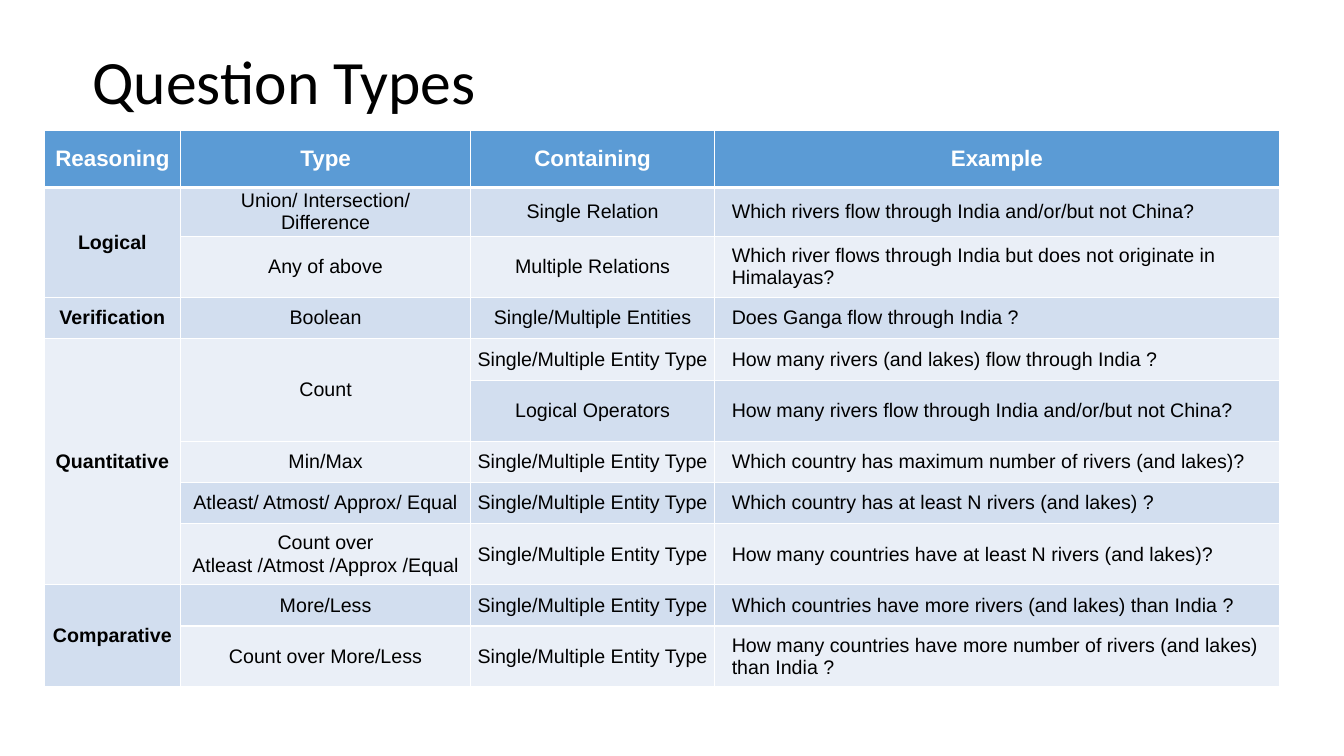
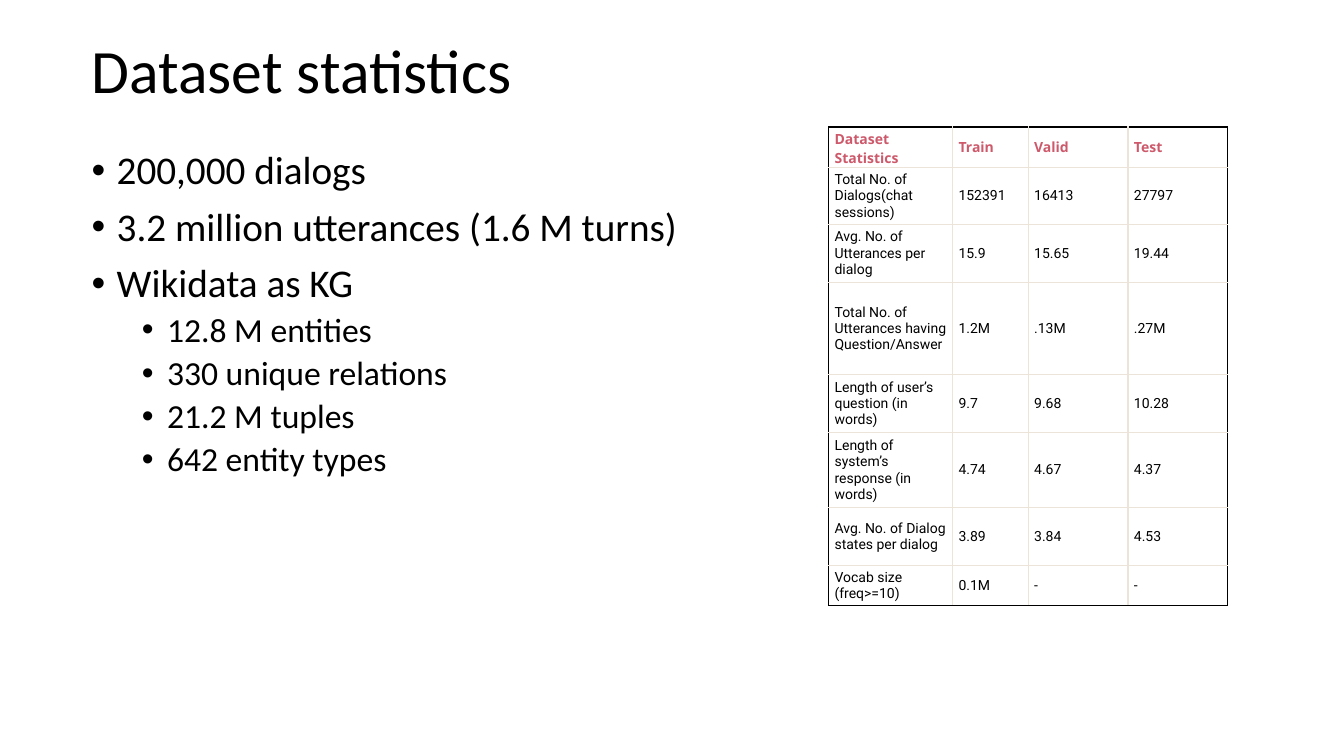
from dataclasses import dataclass

from lxml.etree import SubElement
from pptx import Presentation
from pptx.dml.color import RGBColor
from pptx.enum.text import MSO_ANCHOR, PP_ALIGN
from pptx.oxml.ns import qn
from pptx.util import Inches, Pt

# Grid: 133.33 columns by 75 rows of 0.1 inch
COLUMNS, ROWS = 133.33, 75
BLACK, WHITE = "000000", "FFFFFF"


def grid(count):
    return Inches(count / 10)


def colour(hex_code):
    return RGBColor.from_string(hex_code)


@dataclass
class TableLook:
    """Fonts, colours, insets and borders of one table."""
    header_font: str
    body_font: str
    header_size: int
    body_size: int
    header_colour: str
    header_fill: str
    band_fills: tuple
    inner_line: str
    outer_line: str
    header_rule: int
    aligns: str
    side_inset: float
    left_inset: float
    top_inset: float
    bold_labels: bool


class Deck:
    FONT = "Calibri"
    TITLE_SIZE = 44
    LINE_SPACING = 0.9
    BULLET_SIZES = (28, 24)
    BULLET_GAPS = (10, 5)
    BULLET_INDENTS = (2.5, 7.5)
    HANGING = 2.5

    def __init__(self):
        self.presentation = Presentation()
        self.presentation.slide_width = grid(COLUMNS)
        self.presentation.slide_height = grid(ROWS)
        self.slide = None

    def new_slide(self):
        self.slide = self.presentation.slides.add_slide(self.presentation.slide_layouts[6])

    def style(self, paragraph, size, font=FONT, ink=BLACK, bold=False):
        paragraph.font.name = font
        paragraph.font.size = Pt(size)
        paragraph.font.bold = bold
        paragraph.font.color.rgb = colour(ink)

    def text_frame(self, place, anchor):
        frame = self.slide.shapes.add_textbox(*map(grid, place)).text_frame
        frame.word_wrap = True
        frame.vertical_anchor = anchor
        return frame

    def title(self, words, place):
        heading = self.text_frame(place, MSO_ANCHOR.MIDDLE).paragraphs[0]
        heading.text = words
        heading.line_spacing = self.LINE_SPACING
        self.style(heading, self.TITLE_SIZE)

    def bullets(self, points, place):
        frame = self.text_frame(place, MSO_ANCHOR.TOP)
        for number, (level, words) in enumerate(points):
            point = frame.add_paragraph() if number else frame.paragraphs[0]
            point.text = words
            point.level = level
            properties = point._p.get_or_add_pPr()
            properties.set("marL", str(grid(self.BULLET_INDENTS[level])))
            properties.set("indent", str(-grid(self.HANGING)))
            SubElement(properties, qn("a:buFont"), typeface="Arial")
            SubElement(properties, qn("a:buChar"), char="•")
            point.line_spacing = self.LINE_SPACING
            if number:
                point.space_before = Pt(self.BULLET_GAPS[level])
            self.style(point, self.BULLET_SIZES[level])

    def borders(self, cell, sides):
        """Draw the (colour, width) lines given in the order L, R, T, B."""
        properties = cell._tc.get_or_add_tcPr()
        for side, (ink, width) in zip("LRTB", sides):
            line = SubElement(properties, qn(f"a:ln{side}"), w=str(Pt(width)))
            fill = SubElement(line, qn("a:solidFill"))
            SubElement(fill, qn("a:srgbClr"), val=ink)

    def table(self, records, corner, widths, heights, look):
        """Fill a table; None joins a cell to the one above it."""
        place = (*corner, sum(widths), sum(heights))
        table = self.slide.shapes.add_table(
            len(heights), len(widths), *map(grid, place)).table
        table.first_row = table.horz_banding = False
        for column, width in zip(table.columns, widths):
            column.width = grid(width)
        for row, height in zip(table.rows, heights):
            row.height = grid(height)

        last_row, last_column = len(heights) - 1, len(widths) - 1
        for r, record in enumerate(records):
            for c, words in enumerate(record):
                self.cell(table.cell(r, c), words or "", r, c, look)
                inner, outer = look.inner_line, look.outer_line
                self.borders(table.cell(r, c), (
                    (inner if c else outer, 1),
                    (outer if c == last_column else inner, 1),
                    (inner if r else outer, look.header_rule if r == 1 else 1),
                    (outer if r == last_row else inner, 1 if r else look.header_rule)))
                fill = table.cell(r, c).fill
                fill.solid()
                fill.fore_color.rgb = colour(
                    look.band_fills[(r - 1) % len(look.band_fills)] if r else look.header_fill)

        # Join cells downwards
        for c in range(len(widths)):
            start = 0
            for r in range(1, len(records) + 1):
                if r == len(records) or records[r][c] is not None:
                    if r - start > 1:
                        table.cell(start, c).merge(table.cell(r - 1, c))
                    start = r

    def cell(self, cell, words, r, c, look):
        centred = r == 0 and "c" in look.aligns or look.aligns[c] == "c"
        cell.text = words
        cell.vertical_anchor = MSO_ANCHOR.MIDDLE
        cell.margin_left = grid(look.side_inset if centred else look.left_inset)
        cell.margin_right = grid(look.side_inset)
        cell.margin_top = cell.margin_bottom = grid(look.top_inset)
        for paragraph in cell.text_frame.paragraphs:
            paragraph.alignment = PP_ALIGN.CENTER if centred else PP_ALIGN.LEFT
            if r == 0:
                self.style(paragraph, look.header_size, look.header_font,
                           look.header_colour, True)
            else:
                self.style(paragraph, look.body_size, look.body_font,
                           bold=look.bold_labels and c == 0)

    def save(self):
        self.presentation.save("out.pptx")


QUESTION_LOOK = TableLook(
    header_font="Arial", body_font="Arial", header_size=16, body_size=14,
    header_colour=WHITE, header_fill="5B9BD5", band_fills=("D2DEEF", "EAEFF7"),
    inner_line=WHITE, outer_line=WHITE, header_rule=3, aligns="cccl",
    side_inset=0.1, left_inset=1.7, top_inset=0.1, bold_labels=True)

STATISTICS_LOOK = TableLook(
    header_font="Open Sans", body_font="Roboto", header_size=10, body_size=10,
    header_colour="CD596B", header_fill=WHITE, band_fills=(WHITE,),
    inner_line="ECE4D8", outer_line=BLACK, header_rule=1, aligns="llll",
    side_inset=0.6, left_inset=0.6, top_inset=0.3, bold_labels=False)

ENTITY_TYPE = "Single/Multiple Entity Type"
QUESTION_TYPES = [
    ("Reasoning", "Type", "Containing", "Example"),
    ("Logical", "Union/ Intersection/\nDifference", "Single Relation",
     "Which rivers flow through India and/or/but not China?"),
    (None, "Any of above", "Multiple Relations",
     "Which river flows through India but does not originate in\nHimalayas?"),
    ("Verification", "Boolean", "Single/Multiple Entities",
     "Does Ganga flow through India ?"),
    ("Quantitative", "Count", ENTITY_TYPE,
     "How many rivers (and lakes) flow through India ?"),
    (None, None, "Logical Operators",
     "How many rivers flow through India and/or/but not China?"),
    (None, "Min/Max", ENTITY_TYPE,
     "Which country has maximum number of rivers (and lakes)?"),
    (None, "Atleast/ Atmost/ Approx/ Equal", ENTITY_TYPE,
     "Which country has at least N rivers (and lakes) ?"),
    (None, "Count over\nAtleast /Atmost /Approx /Equal", ENTITY_TYPE,
     "How many countries have at least N rivers (and lakes)?"),
    ("Comparative", "More/Less", ENTITY_TYPE,
     "Which countries have more rivers (and lakes) than India ?"),
    (None, "Count over More/Less", ENTITY_TYPE,
     "How many countries have more number of rivers (and lakes)\nthan India ?"),
]

DATASET_POINTS = [
    (0, "200,000 dialogs"),
    (0, "3.2 million utterances (1.6 M turns)"),
    (0, "Wikidata as KG"),
    (1, "12.8 M entities"),
    (1, "330 unique relations"),
    (1, "21.2 M tuples"),
    (1, "642 entity types"),
]

DATASET_STATISTICS = [
    ("Dataset Statistics", "Train", "Valid", "Test"),
    ("Total No. of Dialogs(chat sessions)", "152391", "16413", "27797"),
    ("Avg. No. of Utterances per dialog", "15.9", "15.65", "19.44"),
    ("Total No. of Utterances having Question/Answer", "1.2M", ".13M", ".27M"),
    ("Length of user’s question (in words)", "9.7", "9.68", "10.28"),
    ("Length of system’s response (in words)", "4.74", "4.67", "4.37"),
    ("Avg. No. of Dialog states per dialog", "3.89", "3.84", "4.53"),
    ("Vocab size (freq>=10)", "0.1M", "-", "-"),
]


def main():
    deck = Deck()

    # Question types
    deck.new_slide()
    deck.title("Question Types", (8.2, 1.1, 115, 14.5))
    one_line, two_lines = 4.1, 6.05
    deck.table(QUESTION_TYPES, (4.4, 12.9), (13.5, 28.8, 24.2, 56),
               (5.7, 4.8, two_lines, one_line, one_line, two_lines,
                one_line, one_line, two_lines, one_line, two_lines), QUESTION_LOOK)

    # Dataset statistics
    deck.new_slide()
    deck.title("Dataset statistics", (8.1, 0, 44.9, 14.5))
    deck.bullets(DATASET_POINTS, (8.1, 14.5, 60.6, 47.6))
    deck.table(DATASET_STATISTICS, (82.2, 12.6), (12.3, 7.5, 9.9, 9.9),
               (4, 5.7, 5.7, 9.2, 5.7, 7.5, 5.7, 4), STATISTICS_LOOK)

    deck.save()


if __name__ == "__main__":
    main()
